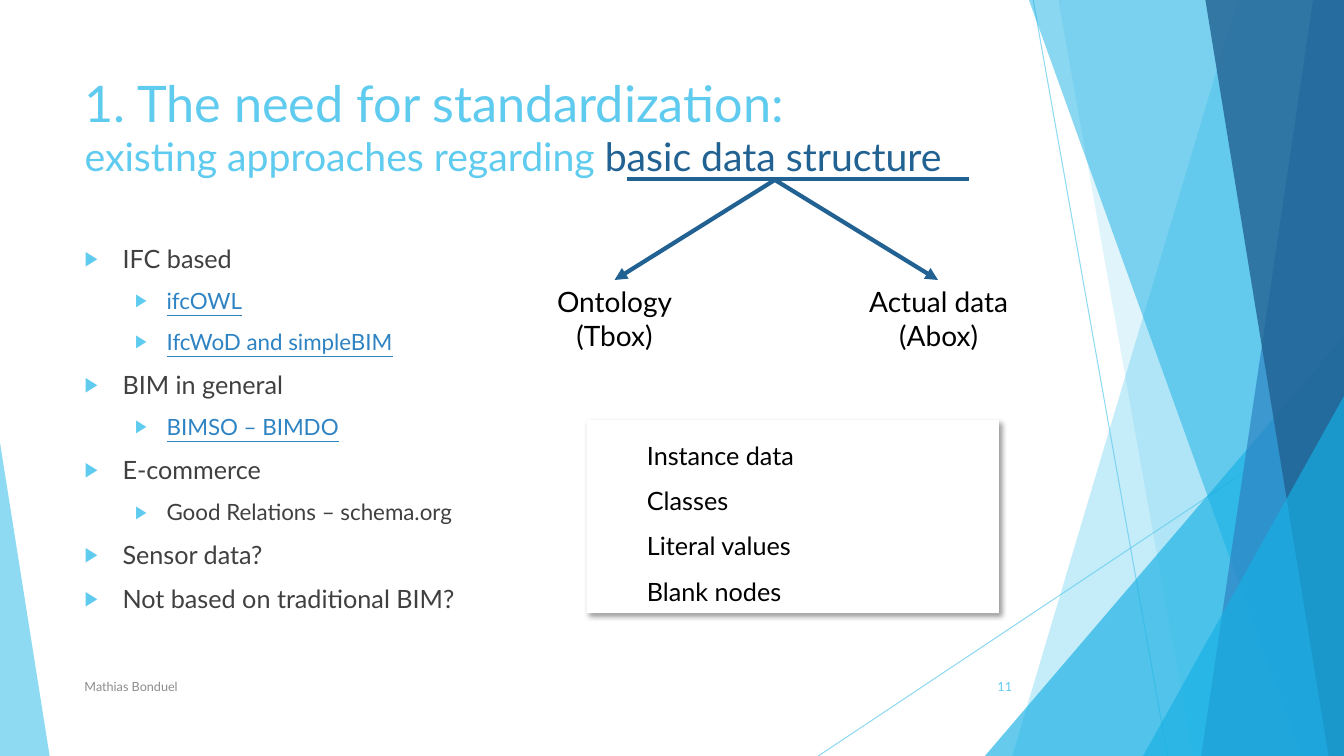
from lxml.etree import SubElement
from pptx import Presentation
from pptx.dml.color import RGBColor
from pptx.enum.shapes import MSO_CONNECTOR, MSO_SHAPE
from pptx.enum.text import MSO_ANCHOR, MSO_AUTO_SIZE, PP_ALIGN
from pptx.oxml.ns import qn
from pptx.util import Pt

COLORS = {
    "sky": "5FCBEF", "cyan": "17B0E4", "blue": "2E83C3", "navy": "226292",
    "text": "404040", "gray": "8C8C8C", "black": "000000", "white": "FFFFFF",
}
FONT = "Lato"
W, H = 960, 540


def rgb(color):
    return RGBColor.from_string(COLORS[color])


class Deck:
    """Holds the style and the current slide."""

    def __init__(self):
        self.prs = Presentation()
        self.prs.slide_width, self.prs.slide_height = Pt(W), Pt(H)
        self.s = self.prs.slides.add_slide(self.prs.slide_layouts[1])

    def set_alpha(self, fill_parent, alpha):
        clr = fill_parent.find(qn("a:solidFill"))[0]
        SubElement(clr, qn("a:alpha")).set("val", str(alpha * 1000))

    def fill(self, sp, color, alpha=100):
        sp.shadow.inherit = False
        sp.fill.solid()
        sp.fill.fore_color.rgb = rgb(color)
        sp.line.fill.background()
        if alpha < 100:
            self.set_alpha(sp._element.spPr, alpha)

    def polygon(self, points, color, alpha):
        pts = [(Pt(x), Pt(y)) for x, y in points]
        fb = self.s.shapes.build_freeform(*pts[0], scale=1.0)
        fb.add_line_segments(pts[1:], close=True)
        self.fill(fb.convert_to_shape(), color, alpha)

    def triangle(self, x, y, w, h, apex, color, alpha):
        sp = self.s.shapes.add_shape(
            MSO_SHAPE.ISOSCELES_TRIANGLE, Pt(x), Pt(y), Pt(w), Pt(h))
        sp.adjustments[0] = apex
        self.fill(sp, color, alpha)

    def line(self, start, end, color, width, alpha=100, arrow=False):
        cn = self.s.shapes.add_connector(
            MSO_CONNECTOR.STRAIGHT, *[Pt(v) for v in start + end])
        cn.line.color.rgb = rgb(color)
        cn.line.width = Pt(width)
        ln = cn.line._ln
        if alpha < 100:
            self.set_alpha(ln, alpha)
        if arrow:
            SubElement(ln, qn("a:tailEnd")).set("type", "triangle")
        SubElement(cn._element.spPr, qn("a:effectLst"))

    def style(self, r, size, color, underline=None):
        r.font.name, r.font.size = FONT, Pt(size)
        r.font.color.rgb = rgb(color)
        r.font.underline = underline

    def place(self, sp, x, y, w, h, anchor=MSO_ANCHOR.TOP):
        sp.left, sp.top, sp.width, sp.height = Pt(x), Pt(y), Pt(w), Pt(h)
        tf = sp.text_frame
        tf.word_wrap = True
        tf.auto_size = MSO_AUTO_SIZE.NONE
        tf.vertical_anchor = anchor
        return tf

    def title(self, box, lines):
        tf = self.place(self.s.shapes.title, *box)
        tf.text = "\n".join("" for _ in lines)
        for p, runs in zip(tf.paragraphs, lines):
            p.alignment = PP_ALIGN.LEFT
            for text, size, color in runs:
                r = p.add_run()
                r.text = text
                self.style(r, size, color)

    def bullets(self, box, items):
        tf = self.place(self.s.placeholders[1], *box)
        tf.text = "\n".join(text for text, _, _ in items)
        for i, (p, (_, level, link)) in enumerate(zip(tf.paragraphs, items)):
            p.level = level
            p.space_before = Pt(10 if i else 0)
            pPr = p._p.get_or_add_pPr()
            left, indent = ((27, -27), (58.5, -22.5))[level]
            pPr.set("marL", str(Pt(left)))
            pPr.set("indent", str(Pt(indent)))
            clr = SubElement(pPr, qn("a:buClr"))
            SubElement(clr, qn("a:srgbClr")).set("val", COLORS["sky"])
            SubElement(pPr, qn("a:buSzPct")).set("val", "80000")
            SubElement(pPr, qn("a:buChar")).set("char", "▶")
            self.style(p.runs[0], 16 if level else 18,
                       "blue" if link else "text", link or None)

    def text(self, box, text, size, color, align=PP_ALIGN.LEFT,
             anchor=MSO_ANCHOR.TOP):
        tf = self.place(self.s.shapes.add_textbox(0, 0, 0, 0), *box, anchor)
        tf.text = text
        for p in tf.paragraphs:
            p.alignment = align
            self.style(p.runs[0], size, color)

    def card(self, box, lines):
        sp = self.s.shapes.add_shape(MSO_SHAPE.RECTANGLE, 0, 0, 0, 0)
        tf = self.place(sp, *box)
        self.fill(sp, "white")
        shadow = SubElement(sp._element.spPr.find(qn("a:effectLst")),
                            qn("a:outerShdw"), blurRad=str(Pt(4)),
                            dist=str(Pt(3)), dir="2700000", algn="tl")
        clr = SubElement(shadow, qn("a:srgbClr"), val=COLORS["black"])
        SubElement(clr, qn("a:alpha"), val="40000")
        tf.text = "\n".join(lines)
        for p in tf.paragraphs:
            p.level = 1
            p.alignment = PP_ALIGN.LEFT
            p.line_spacing = 1.5
            p._p.get_or_add_pPr().set("marL", str(Pt(36)))
            self.style(p.runs[0], 18, "black")


def main():
    deck = Deck()

    # Background facets: top-left and bottom-left x of bands up to the right edge
    def band(top, bottom, color, alpha):
        deck.polygon([(top, 0), (W, 0), (W, H), (bottom, H)], color, alpha)

    deck.line((738, 0), (834, H), "sky", 0.75, alpha=70)
    deck.line((W, 290), (584.5, H), "sky", 0.75, alpha=70)
    band(884, 723, "sky", 36)
    band(756, 852, "sky", 20)
    deck.triangle(703.5, 240, 256.5, 300, 1, "cyan", 66)
    band(735, 929.5, "cyan", 50)
    band(938, 858, "blue", 70)
    band(861, 949, "navy", 80)
    deck.triangle(816.5, 283, 143.5, 257, 1, "cyan", 66)
    deck.triangle(0, 316, 35.5, 224, 0, "sky", 70)

    # Title and list
    deck.title((53.3, 48, 677, 104), [
        [("1. The need for standardization:", 36, "sky")],
        [("existing approaches regarding ", 28, "sky"),
         ("basic data structure", 28, "navy")],
    ])
    deck.bullets((53.3, 170, 677, 305), [
        ("IFC based", 0, False),
        ("ifcOWL", 1, True),
        ("IfcWoD and simpleBIM", 1, True),
        ("BIM in general", 0, False),
        ("BIMSO – BIMDO", 1, True),
        ("E-commerce", 0, False),
        ("Good Relations – schema.org", 1, False),
        ("Sensor data?", 0, False),
        ("Not based on traditional BIM?", 0, False),
    ])

    # Data structure parts
    deck.card((419, 300, 294.5, 138),
              ["Instance data", "Classes", "Literal values", "Blank nodes"])
    deck.line((448, 128), (692, 128), "navy", 3)
    for tip in (439, 670):
        deck.line((553.5, 128.5), (tip, 200), "navy", 3, arrow=True)
    deck.text((358.5, 200, 161, 55.5), "Ontology\n(Tbox)", 20, "black",
              PP_ALIGN.CENTER)
    deck.text((600, 200, 141, 55.5), "Actual data (Abox)", 20, "black",
              PP_ALIGN.CENTER)

    # Footer
    deck.text((53.3, 476, 496, 29), "Mathias Bonduel", 9, "gray",
              anchor=MSO_ANCHOR.MIDDLE)
    deck.text((676, 476, 54, 29), "11", 9, "sky", PP_ALIGN.RIGHT,
              MSO_ANCHOR.MIDDLE)

    deck.prs.save("out.pptx")


if __name__ == "__main__":
    main()
